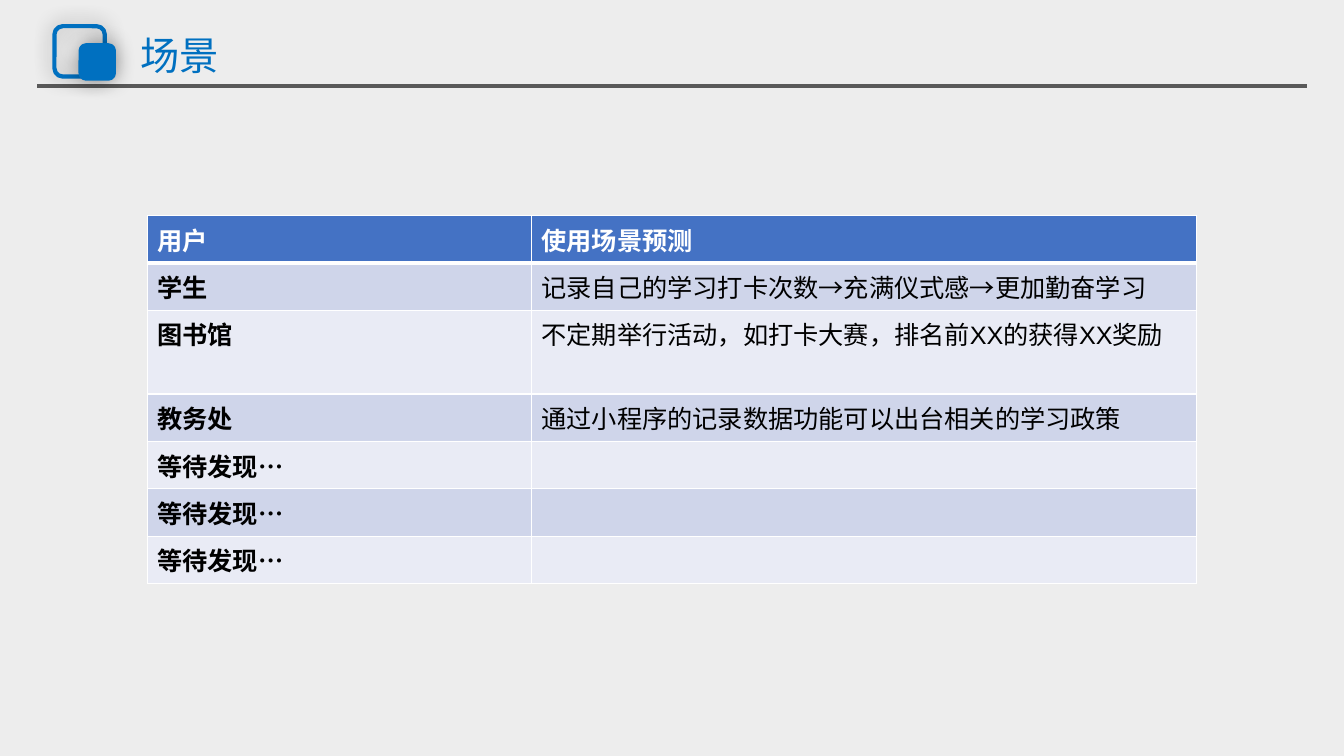
from lxml import etree
from pptx import Presentation
from pptx.dml.color import RGBColor
from pptx.enum.lang import MSO_LANGUAGE_ID as LANGUAGE
from pptx.enum.shapes import MSO_CONNECTOR as CONNECTOR, MSO_SHAPE as SHAPE
from pptx.enum.text import MSO_ANCHOR as ANCHOR, PP_ALIGN as ALIGN
from pptx.oxml.ns import qn
from pptx.util import Inches, Pt

BLUE = "0070C0"
WHITE = "FFFFFF"
HEADER_FILL = "4472C4"
BAND_FILLS = ("E9EBF5", "CFD5EA")
SCENARIOS = [
    ("用户", "使用场景预测"),
    ("学生", "记录自己的学习打卡次数→充满仪式感→更加勤奋学习"),
    ("图书馆", "不定期举行活动，如打卡大赛，排名前XX的获得XX奖励"),
    ("教务处", "通过小程序的记录数据功能可以出台相关的学习政策"),
] + [("等待发现…", "")] * 3
TWO_LINE_ROW = 2


def color(value):
    return RGBColor.from_string(value)


def paint(fill, value):
    fill.solid()
    fill.fore_color.rgb = color(value)


def write(frame, text, size=18, ink="000000", bold=False, spacing=None):
    paragraph = frame.paragraphs[0]
    paragraph.alignment = ALIGN.LEFT
    paragraph.line_spacing = spacing
    paragraph.font.size = Pt(size)
    if not text:
        return
    run = paragraph.add_run()
    run.text = text
    run.font.size = Pt(size)
    run.font.bold = bold
    run.font.name = "Arial"
    run.font.language_id = LANGUAGE.SIMPLIFIED_CHINESE
    run.font.color.rgb = color(ink)


def add_backdrop(slide, width, height):
    backdrop = slide.shapes.add_shape(SHAPE.RECTANGLE, 0, 0, width, height)
    paint(backdrop.fill, "D9D9D9")
    backdrop.line.fill.background()
    backdrop.shadow.inherit = False
    tint = backdrop._element.spPr.find(qn("a:solidFill"))[0]
    etree.SubElement(tint, qn("a:alpha"), val="46000")
    slide.shapes._spTree.insert(2, backdrop._element)


def add_glow(shape):
    effects = etree.SubElement(shape._element.spPr, qn("a:effectLst"))
    shadow = etree.SubElement(effects, qn("a:outerShdw"), blurRad=str(Pt(15)), dist="0", dir="0")
    black = etree.SubElement(shadow, qn("a:srgbClr"), val="000000")
    etree.SubElement(black, qn("a:alpha"), val="40000")


def add_square(slide, left, top, side, fill=None):
    square = slide.shapes.add_shape(
        SHAPE.ROUNDED_RECTANGLE, Inches(left), Inches(top), Inches(side), Inches(side))
    if fill:
        paint(square.fill, fill)
    else:
        square.fill.background()
    square.line.color.rgb = color(BLUE)
    square.line.width = Pt(3)
    add_glow(square)


def add_header(slide, left, top, width, height):
    bottom = Inches(top + height)
    rule = slide.shapes.add_connector(
        CONNECTOR.STRAIGHT, Inches(left), bottom, Inches(left + width), bottom)
    rule.line.color.rgb = color("595959")
    rule.line.width = Pt(3)
    etree.SubElement(rule._element.spPr, qn("a:effectLst"))

    add_square(slide, left + 0.17, top, 0.5)
    add_square(slide, left + 0.43, top + 0.19, 0.33, BLUE)

    title = slide.shapes.title
    title.left, title.top = Inches(left + 0.92), Inches(top + 0.06)
    title.width, title.height = Inches(5.18), Inches(0.5)
    title.text_frame.vertical_anchor = ANCHOR.MIDDLE
    write(title.text_frame, "场景", size=28, ink=BLUE, spacing=0.9)


def add_borders(cell, bottom):
    properties = cell._tc.get_or_add_tcPr()
    widths = {"a:lnL": 1, "a:lnR": 1, "a:lnT": 1, "a:lnB": bottom}
    for position, (side, width) in enumerate(widths.items()):
        border = etree.Element(qn(side), w=str(Pt(width)))
        solid = etree.SubElement(border, qn("a:solidFill"))
        etree.SubElement(solid, qn("a:srgbClr"), val=WHITE)
        properties.insert(position, border)


def add_scenarios(slide, left, top, column_widths, row_height, tall_height):
    heights = [row_height] * len(SCENARIOS)
    heights[TWO_LINE_ROW] = tall_height
    table = slide.shapes.add_table(
        len(SCENARIOS), len(column_widths), Inches(left), Inches(top),
        Inches(sum(column_widths)), Inches(sum(heights))).table
    for column, width in zip(table.columns, column_widths):
        column.width = Inches(width)
    for row_index, (texts, height) in enumerate(zip(SCENARIOS, heights)):
        table.rows[row_index].height = Inches(height)
        is_header = row_index == 0
        for column_index, text in enumerate(texts):
            cell = table.cell(row_index, column_index)
            cell.margin_right = Inches(0.15)
            cell.vertical_anchor = ANCHOR.TOP if row_index == TWO_LINE_ROW else ANCHOR.MIDDLE
            paint(cell.fill, HEADER_FILL if is_header else BAND_FILLS[row_index % 2])
            add_borders(cell, 3 if is_header else 1)
            write(cell.text_frame, text, ink=WHITE if is_header else "000000",
                  bold=is_header or column_index == 0)


def main():
    deck = Presentation()
    deck.slide_width, deck.slide_height = Inches(13.33), Inches(7.5)
    slide = deck.slides.add_slide(deck.slide_layouts[5])
    add_backdrop(slide, deck.slide_width, deck.slide_height)
    add_header(slide, 0.37, 0.26, 12.59, 0.59)
    add_scenarios(slide, 1.46, 2.14, (3.81, 6.6), 0.47, 0.83)
    deck.save("out.pptx")


if __name__ == "__main__":
    main()
